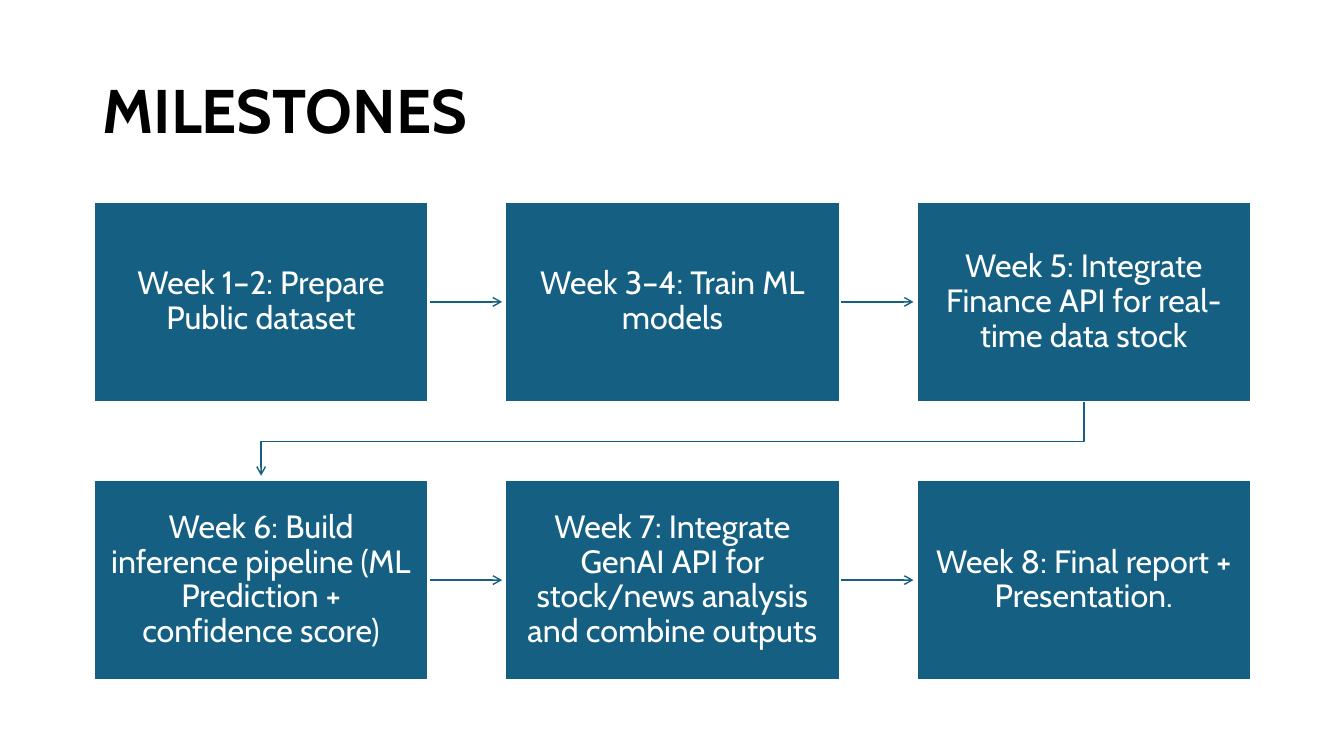
from dataclasses import dataclass

from lxml import etree
from pptx import Presentation
from pptx import util as u
from pptx.dml.color import RGBColor
from pptx.enum import shapes, text
from pptx.oxml import ns


@dataclass(frozen=True)
class Theme:
    font: str = "Cabin"
    teal: RGBColor = RGBColor(0x15, 0x60, 0x82)
    white: RGBColor = RGBColor(0xFF, 0xFF, 0xFF)
    black: RGBColor = RGBColor(0, 0, 0)
    title_size: int = 44
    step_size: int = 23


theme = Theme()


def add_text(tf, words, size, color, bold=False):
    tf.word_wrap = True
    tf.vertical_anchor = text.MSO_ANCHOR.MIDDLE
    p = tf.paragraphs[0]
    p.line_spacing = 0.9
    r = p.add_run()
    r.text = words
    r.font.name = theme.font
    r.font.size = u.Pt(size)
    r.font.bold = bold
    r.font.color.rgb = color
    return p


def style_arrow(sp):
    sp.line.color.rgb = theme.teal
    sp.line.width = u.Pt(1)
    ln = sp.line._get_or_add_ln()
    etree.SubElement(ln, ns.qn("a:tailEnd"), type="arrow")


prs = Presentation()
prs.slide_width = u.Inches(13.33)
prs.slide_height = u.Inches(7.5)
s = prs.slides.add_slide(prs.slide_layouts[6])

# Title
title = s.shapes.add_textbox(u.Inches(0.92), u.Inches(0.4), u.Inches(11.5), u.Inches(1.45))
add_text(title.text_frame, "MILESTONES", theme.title_size, theme.black, bold=True)

# Grid of steps
steps = [
    "Week 1–2: Prepare Public dataset",
    "Week 3–4: Train ML models",
    "Week 5: Integrate Finance API for real-time data stock",
    "Week 6: Build inference pipeline (ML Prediction + confidence score)",
    "Week 7: Integrate GenAI API for stock/news analysis and combine outputs",
    "Week 8: Final report + Presentation.",
]
columns = 3
left, top = 0.93, 2.0
box_w, box_h = 3.32, 1.99
pitch_x, pitch_y = 4.08, 2.76
arrow_w, arrow_h = 0.73, 0.73

for i, words in enumerate(steps):
    row, col = divmod(i, columns)
    x, y = left + col * pitch_x, top + row * pitch_y

    # Arrow to the next step in the row
    if col < columns - 1:
        mid_y = u.Inches(y + box_h / 2)
        arrow = s.shapes.add_connector(
            shapes.MSO_CONNECTOR.STRAIGHT,
            u.Inches(x + box_w), mid_y, u.Inches(x + box_w + arrow_w), mid_y)
        style_arrow(arrow)
        etree.SubElement(arrow._element.spPr, ns.qn("a:effectLst"))

    # Step box
    sp = s.shapes.add_shape(
        shapes.MSO_SHAPE.RECTANGLE,
        u.Inches(x), u.Inches(y), u.Inches(box_w), u.Inches(box_h))
    sp.shadow.inherit = False
    sp.fill.solid()
    sp.fill.fore_color.rgb = theme.teal
    sp.line.color.rgb = theme.white
    sp.line.width = u.Pt(1.5)
    tf = sp.text_frame
    tf.margin_left = tf.margin_right = u.Inches(0.16)
    tf.margin_top = tf.margin_bottom = u.Inches(0.17)
    p = add_text(tf, words, theme.step_size, theme.white)
    p.alignment = text.PP_ALIGN.CENTER

# Bent arrow from the end of the first row to the start of the second
first_x = left + box_w / 2
last_x = first_x + (columns - 1) * pitch_x
row_end = top + box_h
turn_y = row_end + 0.39
outline = s.shapes.build_freeform(u.Inches(last_x), u.Inches(row_end))
outline.add_line_segments(
    [(u.Inches(px), u.Inches(py)) for px, py in
     [(last_x, turn_y), (first_x, turn_y), (first_x, row_end + arrow_h)]],
    close=False)
bend = outline.convert_to_shape()
bend.shadow.inherit = False
bend.fill.background()
style_arrow(bend)

prs.save("out.pptx")
